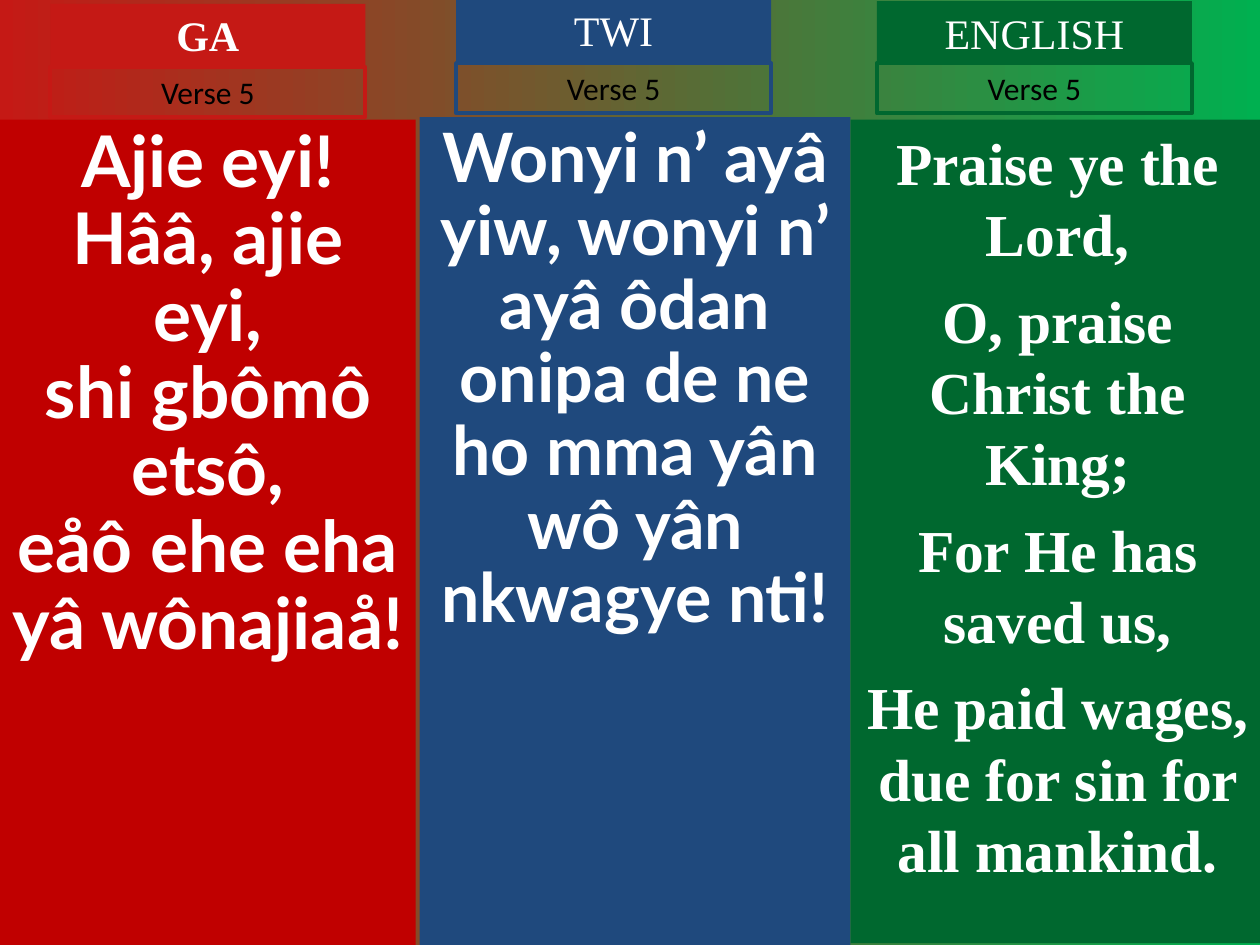
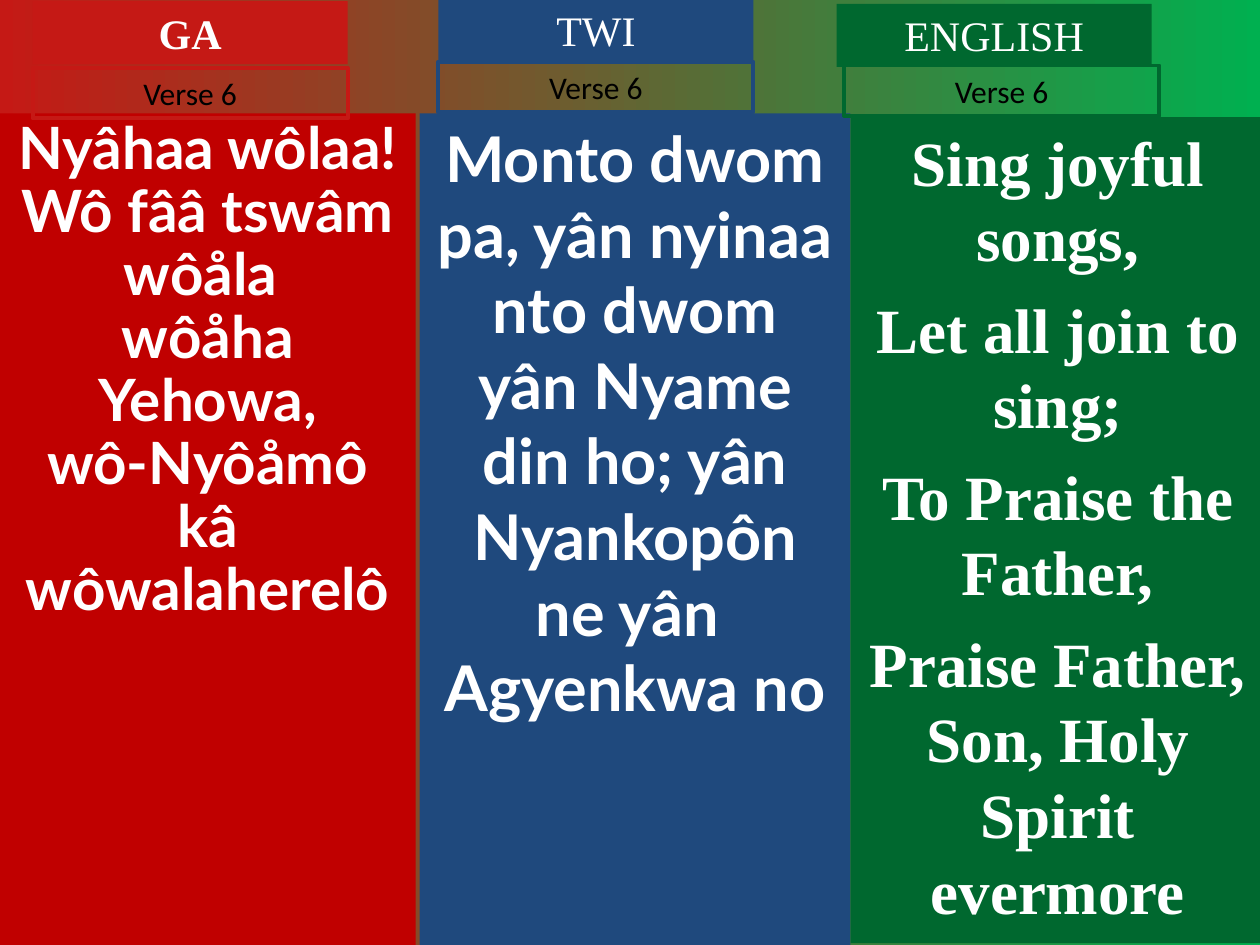
"""Build two hymn slides, each with a verse in Ga, Twi and English side by side."""
import pptx
import pptx.dml.color
import pptx.enum.shapes
import pptx.enum.text
import pptx.util

WIDE, HIGH = pptx.util.Inches(10), pptx.util.Inches(7.5)
HUES = {
    "red": "C51915", "deep": "C00000", "blue": "1F497D", "green": "00682F",
    "lime": "00B050", "white": "FFFFFF", "black": "000000",
}
HEAD = (25, 6.67)
TAG = (25, 5.33)
LANGS = [
    dict(name="GA", head="red", body="deep", bold=True, font="Lato",
         left=0, width=33, foot=100),
    dict(name="TWI", head="blue", body="blue", bold=False, font="Lato",
         left=33.3, width=34.2, foot=100),
    dict(name="ENGLISH", head="green", body="green", bold=False,
         font="Times New Roman", left=67.5, width=32.9, foot=99.8),
]
VERSES = {
    "Verse 5": [
        dict(head=(4, 0.4), tag=(4, 7.07), top=12.67, size=40.7, pitch=0.9, gap=0,
             lines=["Ajie eyi!", "Hââ, ajie eyi,", "shi gbômô etsô,",
                    "eåô ehe eha yâ wônajiaå!"]),
        dict(head=(36.2, -0.13), tag=(36.2, 6.67), top=12.4, size=38.9, pitch=0.9, gap=0,
             lines=["Wonyi n’ ayâ",
                    "yiw, wonyi n’ ayâ ôdan onipa de ne ho mma yân wô yân nkwagye nti!"]),
        dict(head=(69.6, 0.13), tag=(69.6, 6.67), top=12.67, size=34, pitch=1, gap=8.5,
             lines=["Praise ye the Lord,", "O, praise Christ the King;",
                    "For He has saved us,",
                    "He paid wages, due for sin for all mankind."]),
    ],
    "Verse 6": [
        dict(head=(2.6, 0.13), tag=(2.6, 7.2), top=12, size=33.3, pitch=0.9, gap=0,
             lines=["Nyâhaa wôlaa!", "Wô fââ tswâm wôåla ", "wôåha Yehowa,",
                    "wô-Nyôåmô kâ wôwalaherelô"]),
        dict(head=(34.8, -0.13), tag=(34.8, 6.53), top=12, size=36, pitch=1, gap=0,
             lines=["Monto dwom pa, yân nyinaa nto dwom",
                    "yân Nyame din ho; yân Nyankopôn ne yân ", "Agyenkwa no"]),
        dict(head=(66.4, 0.4), tag=(67, 6.93), top=12.4, size=36, pitch=1, gap=9,
             lines=["Sing joyful songs,", "Let all join to sing;",
                    "To Praise the Father,",
                    "Praise Father, Son, Holy Spirit evermore"]),
    ],
}


def hue(name):
    """Return the named colour."""
    return pptx.dml.color.RGBColor.from_string(HUES[name])


def block(slide, spot, size, fill=None, edge=None):
    """Add a rectangle placed by percentages of the slide."""
    (left, top), (width, height) = spot, size
    shape = slide.shapes.add_shape(
        pptx.enum.shapes.MSO_SHAPE.RECTANGLE,
        int(WIDE * left / 100), int(HIGH * top / 100),
        int(WIDE * width / 100), int(HIGH * height / 100))
    shape.shadow.inherit = False
    if fill:
        shape.fill.solid()
        shape.fill.fore_color.rgb = hue(fill)
    else:
        shape.fill.background()
    if edge:
        shape.line.color.rgb = hue(edge)
        shape.line.width = pptx.util.Pt(2.25)
    else:
        shape.line.fill.background()
    return shape


def write(shape, lines, font, size, ink="white", bold=False, pitch=1, gap=0):
    """Fill a shape with centred paragraphs from its top."""
    frame = shape.text_frame
    frame.word_wrap = True
    frame.vertical_anchor = pptx.enum.text.MSO_ANCHOR.TOP
    frame.text = "\n".join(lines)
    for rank, para in enumerate(frame.paragraphs):
        para.alignment = pptx.enum.text.PP_ALIGN.CENTER
        para.line_spacing = float(pitch)
        para.space_before = pptx.util.Pt(gap if rank else 0)
        para.font.name = font
        para.font.size = pptx.util.Pt(size)
        para.font.bold = bold
        para.font.color.rgb = hue(ink)


def column(slide, lang, verse, label):
    """Draw one language: its verse panel, heading and verse tag."""
    panel = block(slide, (lang["left"], verse["top"]),
                  (lang["width"], lang["foot"] - verse["top"]), fill=lang["body"])
    write(panel, verse["lines"], lang["font"], verse["size"], bold=True,
          pitch=verse["pitch"], gap=verse["gap"])
    head = block(slide, verse["head"], HEAD, fill=lang["head"])
    write(head, [lang["name"]], "Times New Roman", 24, bold=lang["bold"])
    tag = block(slide, verse["tag"], TAG, edge=lang["head"])
    write(tag, [label], "Calibri", 18, ink="black")


def backdrop(master):
    """Give every slide the red to green sweep."""
    fill = master.background.fill
    fill.gradient()
    fill.gradient_angle = 0
    for stop, name in zip(fill.gradient_stops, ("red", "lime")):
        stop.color.rgb = hue(name)


def main():
    """Build and save the deck."""
    deck = pptx.Presentation()
    deck.slide_width, deck.slide_height = WIDE, HIGH
    backdrop(deck.slide_master)
    for label, verses in VERSES.items():
        slide = deck.slides.add_slide(deck.slide_layouts[6])
        for lang, verse in zip(LANGS, verses):
            column(slide, lang, verse, label)
    deck.save("out.pptx")


if __name__ == "__main__":
    main()
